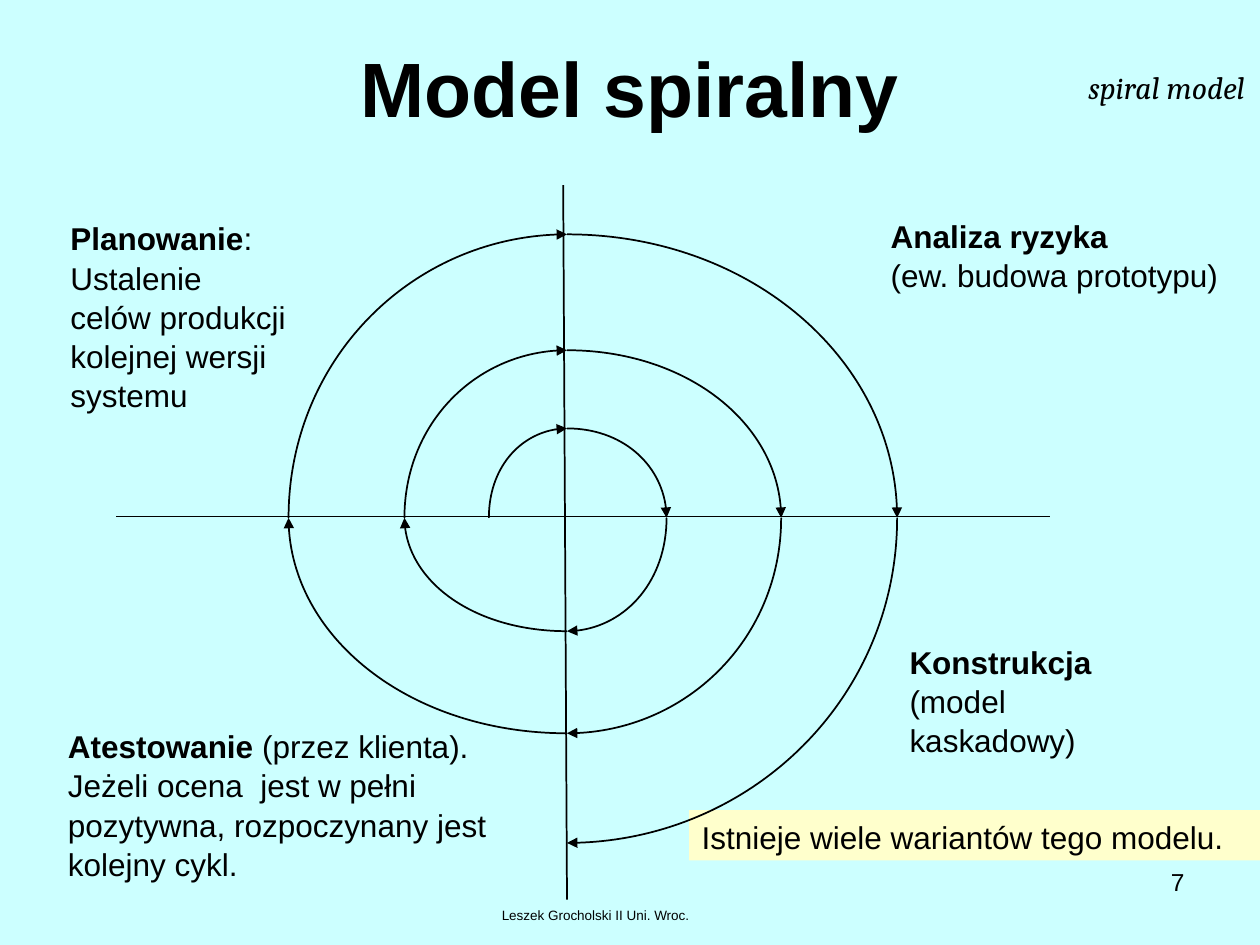
from pptx import Presentation
from pptx.dml.color import RGBColor
from pptx.enum.shapes import MSO_CONNECTOR as Conn, MSO_SHAPE as Kind
from pptx.enum.text import MSO_ANCHOR as Anchor, MSO_AUTO_SIZE as Auto, PP_ALIGN as Align
from pptx.oxml.ns import qn
from pptx.util import Inches, Pt
from lxml import etree

INK, SKY, CREAM = "000000", "CCFFFF", "FFFFCC"
CURVE = 0.55  # handle length of a quarter ellipse
# Distance from the centre at each axis crossing: left, up, right, down, ...
RADII = [0.62, 0.71, 0.79, 0.9, 1.29, 1.33, 1.7, 1.71, 2.21, 2.25, 2.62, 2.58]
WAYS = [(-1, 0), (0, -1), (1, 0), (0, 1)]


def paint(fmt, color):
    fmt.solid()
    fmt.fore_color.rgb = RGBColor.from_string(color)


def write(frame, paras, size=18, font="Arial", align=Align.LEFT, italic=False, space=1.04):
    """Each paragraph is a list of (text, bold) runs."""
    for i, runs in enumerate(paras):
        para = frame.paragraphs[0] if i == 0 else frame.add_paragraph()
        para.alignment = align
        para.line_spacing = space
        for text, bold in runs:
            run = para.add_run()
            run.text = text
            run.font.name, run.font.size = font, Pt(size)
            run.font.bold, run.font.italic = bold, italic
            paint(run.font.fill, INK)


def label(slide, box, paras, wrap=True, grow=True, **style):
    frame = slide.shapes.add_textbox(*map(Inches, box)).text_frame
    frame.word_wrap = wrap
    frame.auto_size = Auto.SHAPE_TO_FIT_TEXT if grow else Auto.NONE
    write(frame, paras, **style)


def heading(slide, box):
    title = slide.shapes.title
    title.left, title.top, title.width, title.height = map(Inches, box)
    title.text_frame.vertical_anchor = Anchor.MIDDLE
    title.text_frame.auto_size = Auto.NONE
    write(title.text_frame, [[("Model spiralny", True)]], 44, align=Align.CENTER, space=1)


def note(slide, box):
    shape = slide.shapes.add_shape(Kind.RECTANGLE, *map(Inches, box))
    shape.shadow.inherit = False
    paint(shape.fill, CREAM)
    shape.line.fill.background()
    frame = shape.text_frame
    frame.word_wrap = True
    frame.vertical_anchor = Anchor.TOP
    write(frame, [[("Istnieje wiele wariantów tego modelu.", False)]])


def axis(slide, start, end):
    line = slide.shapes.add_connector(Conn.STRAIGHT, *map(Inches, start + end))
    paint(line.line.fill, INK)
    line.line.width = Pt(1)
    etree.SubElement(line._element.spPr, qn("a:effectLst"))


def quarter(slide, hub, start, end):
    """Curved arrow from one axis offset to the next around the hub."""
    (ax, ay), (bx, by) = start, end
    points = [(ax, ay), (ax + CURVE * bx, ay + CURVE * by),
              (bx + CURVE * ax, by + CURVE * ay), (bx, by)]
    points = [(Inches(hub[0] + x), Inches(hub[1] + y)) for x, y in points]
    pen = slide.shapes.build_freeform(*points[0])
    pen.add_line_segments(points[1:], close=False)
    arc = pen.convert_to_shape()
    arc.shadow.inherit = False
    arc.fill.background()
    paint(arc.line.fill, INK)
    arc.line.width = Pt(1)
    # Turn the three segments into one Bezier curve
    track = next(arc._element.iter(qn("a:path")))
    steps = track.findall(qn("a:lnTo"))
    bend = etree.SubElement(track, qn("a:cubicBezTo"))
    for step in steps:
        bend.append(step[0])
        track.remove(step)
    tip = etree.SubElement(arc.line._get_or_add_ln(), qn("a:tailEnd"))
    tip.set("type", "triangle")


def spiral(slide, hub):
    x, y = hub
    axis(slide, (x + 3.83, y - 0.01), (x - 3.58, y - 0.01))
    axis(slide, (x - 0.03, y - 2.64), (x, y + 3.03))
    stops = [(r * WAYS[i % 4][0], r * WAYS[i % 4][1]) for i, r in enumerate(RADII)]
    for start, end in zip(stops, stops[1:]):
        quarter(slide, hub, start, end)


def phases(slide):
    label(slide, (0.46, 1.68, 2.75, 1.3),
          [[("Planowanie", True), (": Ustalenie", False)], [("celów produkcji", False)],
           [("kolejnej wersji", False)], [("systemu", False)]], wrap=False)
    label(slide, (6.97, 1.66, 3.02, 0.7),
          [[("Analiza ryzyka", True)], [("(ew. budowa prototypu)", False)]])
    label(slide, (7.12, 5.04, 2.35, 0.7),
          [[("Konstrukcja", True)], [("(model kaskadowy)", False)]], wrap=False)
    label(slide, (0.44, 5.71, 3.69, 1.3),
          [[("Atestowanie", True), (" (przez klienta).", False)],
           [("Jeżeli ocena  jest w pełni", False)],
           [("pozytywna, rozpoczynany jest kolejny cykl.", False)]])


def footer(slide):
    label(slide, (2.87, 7.15, 3.71, 0.24), [[("Leszek Grocholski II Uni. Wroc.", False)]],
          grow=False, size=7.7, align=Align.CENTER, space=1)
    label(slide, (7.17, 6.83, 2.33, 0.52), [[("7", False)]],
          grow=False, size=14, align=Align.RIGHT, space=1)


def main():
    deck = Presentation()
    deck.slide_width, deck.slide_height = Inches(10), Inches(7.5)
    slide = deck.slides.add_slide(deck.slide_layouts[5])
    paint(slide.background.fill, SKY)
    footer(slide)
    heading(slide, (0.5, 0.3, 9, 0.77))
    note(slide, (5.47, 6.43, 4.73, 0.4))
    spiral(slide, (4.5, 4.11))
    phases(slide)
    # English name of the model
    label(slide, (8.54, 0.49, 1.45, 0.4), [[("spiral model", False)]],
          wrap=False, font="Cambria", italic=True, space=1)
    deck.save("out.pptx")


if __name__ == "__main__":
    main()
